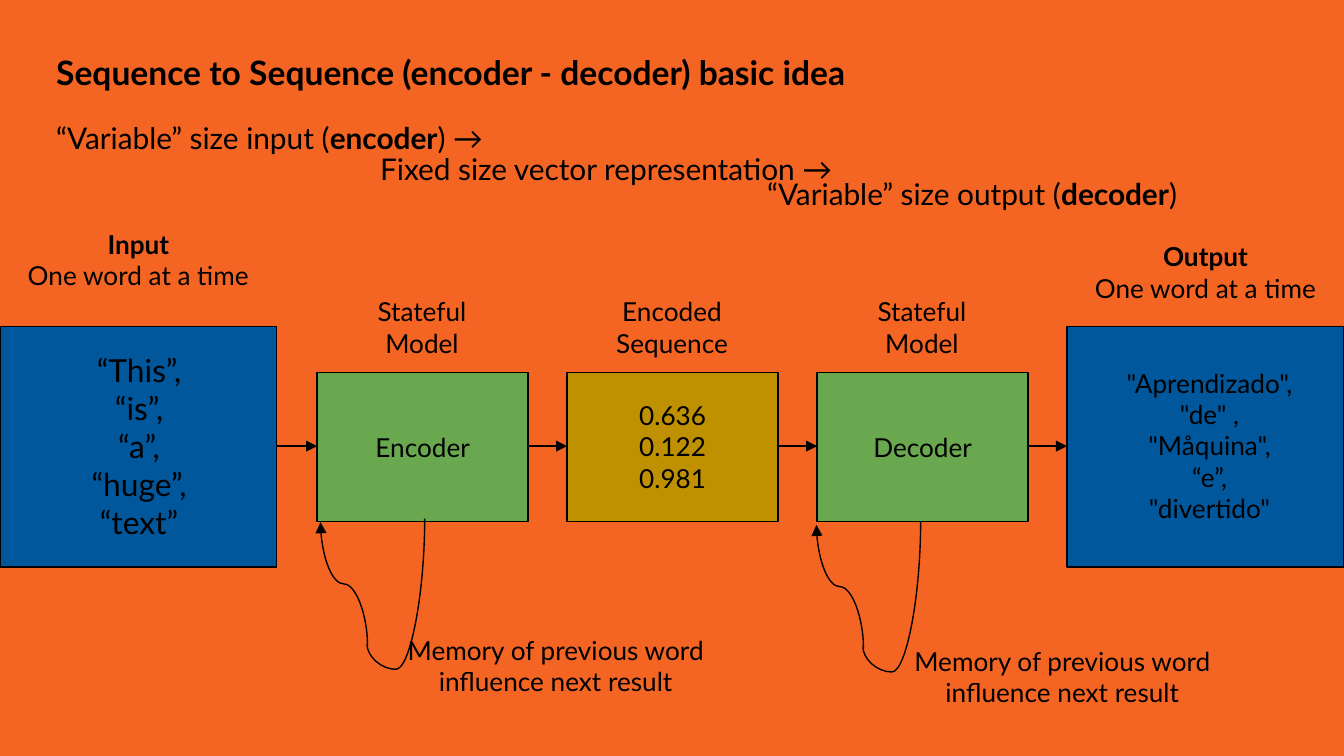
from lxml import etree
from pptx import Presentation
from pptx import util as u
from pptx.dml.color import RGBColor
from pptx.enum import shapes, text
from pptx.oxml import ns

PX = 9144
FONT = "Lato"
BLACK = "000000"
ORANGE, BLUE, GREEN, GOLD = "F46524", "01579B", "6AA84F", "BF9000"
STEP = 186
CENTER, LEFT = text.PP_ALIGN.CENTER, text.PP_ALIGN.LEFT


def px(n):
    """Turn whole px into EMU."""
    return u.Emu(n * PX)


def rgb(value):
    """Turn a hex string into a colour."""
    return RGBColor.from_string(value)


def add_block(s, x, y, w, h, fill):
    """Draw a filled rectangle with a thin black outline."""
    sp = s.shapes.add_shape(shapes.MSO_SHAPE.RECTANGLE, px(x), px(y), px(w), px(h))
    sp.shadow.inherit = False
    sp.fill.solid()
    sp.fill.fore_color.rgb = rgb(fill)
    sp.line.color.rgb = rgb(BLACK)
    sp.line.width = u.Pt(0.75)


def add_label(s, x, y, w, h, lines, size=14, align=CENTER):
    """Write one paragraph per line; words between asterisks are bold."""
    tf = s.shapes.add_textbox(px(x), px(y), px(w), px(h)).text_frame
    tf.word_wrap = True
    tf.auto_size = text.MSO_AUTO_SIZE.SHAPE_TO_FIT_TEXT
    tf.margin_left = tf.margin_right = tf.margin_top = tf.margin_bottom = px(10)
    for i, line in enumerate(lines):
        p = tf.add_paragraph() if i else tf.paragraphs[0]
        p.alignment = align
        for j, words in enumerate(line.split("*")):
            if words:
                r = p.add_run()
                r.text = words
                r.font.name = FONT
                r.font.size = u.Pt(size)
                r.font.bold = j % 2 == 1
                r.font.color.rgb = rgb(BLACK)


def add_link(s, kind, x1, y1, x2, y2, arrow=True):
    """Draw a thin black connector, with an arrowhead at its end if asked."""
    c = s.shapes.add_connector(kind, px(x1), px(y1), px(x2), px(y2))
    c.line.color.rgb = rgb(BLACK)
    c.line.width = u.Pt(0.75)
    if arrow:
        etree.SubElement(c.line._get_or_add_ln(), ns.qn("a:tailEnd"), type="triangle")
    etree.SubElement(c._element.spPr, ns.qn("a:effectLst"))
    return c


def add_curve(s, x1, y1, x2, y2, bend, arrow):
    """Draw a curved connector turned by 90 degrees with the given bend."""
    c = add_link(s, shapes.MSO_CONNECTOR.CURVE, x1, y1, x2, y2, arrow)
    spPr = c._element.spPr
    spPr.find(ns.qn("a:xfrm")).set("rot", "5400000")
    guides = spPr.find(ns.qn("a:prstGeom")).get_or_add_avLst()
    etree.SubElement(guides, ns.qn("a:gd"), name="adj1", fmla=f"val {bend}")


def add_memory_loop(s, x, y):
    """Draw the feedback loop below a model block."""
    add_curve(s, x + 38, y, x + 131, y + 43, 120500, False)
    add_curve(s, x + 92, y + 6, x, y + 41, 50000, True)


def main():
    """Build the slide and save it."""
    prs = Presentation()
    prs.slide_width, prs.slide_height = px(1000), u.Inches(5.625)
    s = prs.slides.add_slide(prs.slide_layouts[6])
    s.background.fill.solid()
    s.background.fill.fore_color.rgb = rgb(ORANGE)

    for x in (0, 794):
        add_block(s, x, 243, 206, 179, BLUE)
    for i, fill in enumerate((GREEN, GOLD, GREEN)):
        add_block(s, 236 + STEP * i, 277, 157, 111, fill)

    add_label(s, 32, 29, 630, 50,
              ["*Sequence to Sequence (encoder - decoder) basic idea*"], 18, LEFT)
    add_label(s, 32, 79, 341, 47, ["“Variable” size input (*encoder*) →"], 16, LEFT)
    add_label(s, 561, 121, 368, 47, ["“Variable” size output (*decoder*)"], 16, LEFT)
    add_label(s, 273, 102, 375, 47, ["Fixed size vector representation →"], 16, LEFT)

    for x, y, name in ((8, 160, "Input"), (802, 169, "Output")):
        add_label(s, x, y, 190, 67, [f"*{name}*", "One word at a time"])
    for i, caption in enumerate(("Stateful Model", "Encoded Sequence", "Stateful Model")):
        add_label(s, 248 + STEP * i, 210, 132, 67, [caption])

    add_label(s, 32, 251, 143, 163,
              ["“This”,", "“is”,", "“a”,", "“huge”,", "“text”"], 17)
    for i, name in enumerate(("Encoder", "Decoder")):
        add_label(s, 260 + 2 * STEP * i, 311, 109, 44, [name])
    add_label(s, 458, 287, 85, 91, ["0.636", "0.122", "0.981"])
    add_label(s, 825, 263, 150, 138,
              ['"Aprendizado",', '"de" ,', '"Måquina",', "“e”,", '"divertido"'])

    for i in range(4):
        x = 206 + STEP * i
        add_link(s, shapes.MSO_CONNECTOR.STRAIGHT, x, 332, x + 30, 332)
    for x, y in ((210, 411), (579, 413)):
        add_memory_loop(s, x, y)
    for x, y in ((285, 462), (662, 470)):
        add_label(s, x, y, 257, 67, ["Memory of previous word influence next result"])

    prs.save("out.pptx")


if __name__ == "__main__":
    main()
